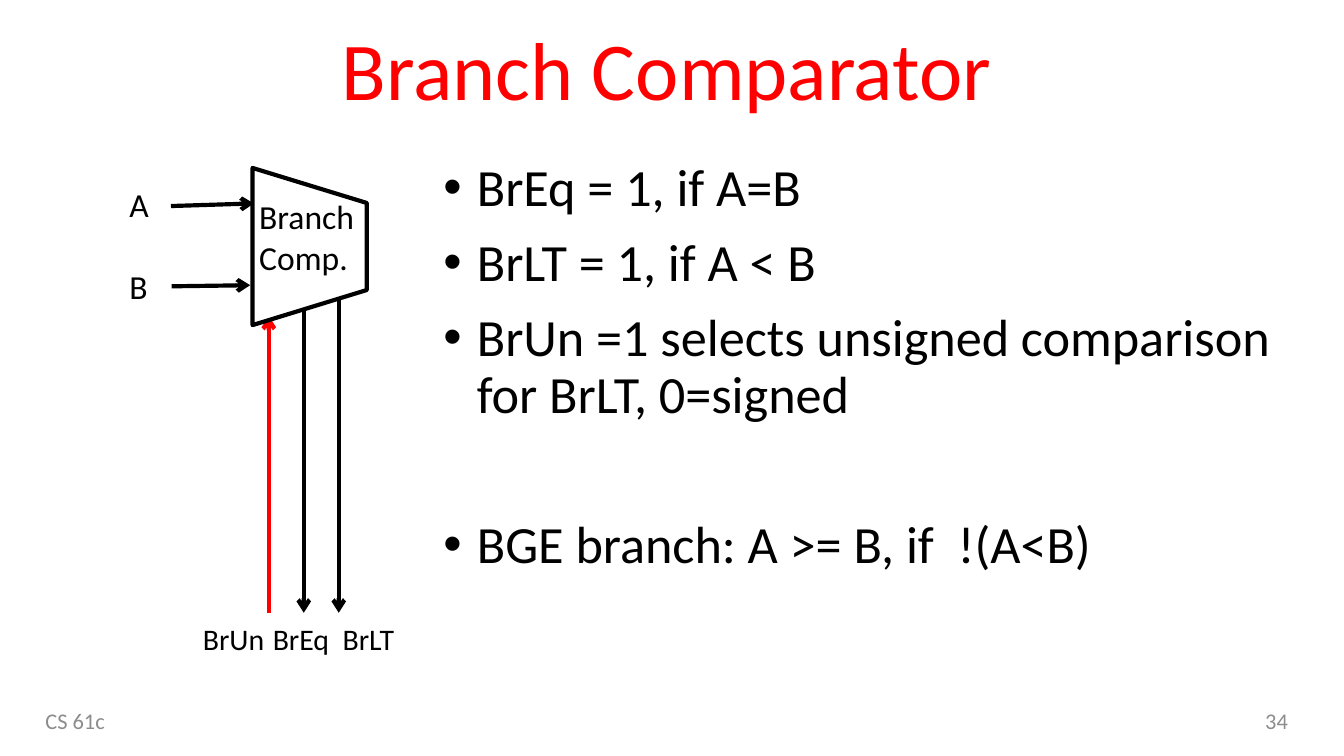
from dataclasses import dataclass

from lxml.etree import SubElement
from pptx import Presentation
from pptx.dml.color import RGBColor
from pptx.enum.shapes import MSO_CONNECTOR as Link, MSO_SHAPE as Form
from pptx.enum.text import MSO_ANCHOR as Anchor, MSO_AUTO_SIZE as Fit, PP_ALIGN as Align
from pptx.oxml.ns import qn
from pptx.oxml.xmlchemy import OxmlElement
from pptx.util import Pt

HUES = {"black": "000000", "red": "FF0000", "gray": "8C8C8C", "white": "FFFFFF"}
FACE = "Calibri"
STROKE = 2.25


@dataclass
class Label:
    text: str
    left: float
    top: float
    width: float
    height: float
    size: float


@dataclass
class Arrow:
    x1: float
    y1: float
    x2: float
    y2: float
    hue: str = "black"


@dataclass
class Point:
    text: str
    gap: float = 10


def color(name: str) -> RGBColor:
    return RGBColor.from_string(HUES[name])


def style(par, size: float, hue: str = "black", align=Align.LEFT) -> None:
    par.alignment = align
    par.font.name = FACE
    par.font.size = Pt(size)
    par.font.color.rgb = color(hue)


def add_label(slide, item: Label, hue: str = "black", align=Align.LEFT,
              anchor=Anchor.TOP, tight: bool = False) -> None:
    box = slide.shapes.add_textbox(
        Pt(item.left), Pt(item.top), Pt(item.width), Pt(item.height))
    frame = box.text_frame
    frame.word_wrap = not tight
    frame.vertical_anchor = anchor
    if tight:
        frame.margin_left = frame.margin_right = 0
        frame.margin_top = frame.margin_bottom = 0
    par = frame.paragraphs[0]
    par.text = item.text
    style(par, item.size, hue, align)


def add_arrow(slide, item: Arrow) -> None:
    wire = slide.shapes.add_connector(
        Link.STRAIGHT, Pt(item.x1), Pt(item.y1), Pt(item.x2), Pt(item.y2))
    wire.line.width = Pt(STROKE)
    wire.line.color.rgb = color(item.hue)
    props = wire.element.spPr
    SubElement(props.find(qn("a:ln")), qn("a:tailEnd"), type="arrow")
    SubElement(props, qn("a:effectLst"))


def add_title(slide, text: str) -> None:
    title = slide.shapes.title
    title.left, title.top, title.width, title.height = Pt(17.3), Pt(8.6), Pt(680), Pt(62)
    frame = title.text_frame
    frame.auto_size = Fit.NONE
    frame.vertical_anchor = Anchor.MIDDLE
    par = frame.paragraphs[0]
    par.text = text
    par.line_spacing = 0.9
    style(par, 44, "red", Align.CENTER)


def add_points(slide, points: list[Point]) -> None:
    box = slide.shapes.add_textbox(Pt(230.4), Pt(82.8), Pt(466.6), Pt(281.5))
    frame = box.text_frame
    frame.word_wrap = True
    for i, item in enumerate(points):
        par = frame.add_paragraph() if i else frame.paragraphs[0]
        par.text = item.text
        par.line_spacing = 0.9
        par.space_before = Pt(item.gap)
        style(par, 28)
        props = par._p.get_or_add_pPr()
        props.set("marL", str(Pt(18)))
        props.set("indent", str(-Pt(18)))
        for tag, key, value in (("a:buFont", "typeface", "Arial"), ("a:buChar", "char", "•")):
            mark = OxmlElement(tag)
            mark.set(key, value)
            props.insert_element_before(mark, "a:defRPr")


def add_block(slide) -> None:
    block = slide.shapes.add_shape(
        Form.TRAPEZOID, Pt(123.8), Pt(101.5), Pt(84.2), Pt(61.2))
    block.rotation = 90
    block.adjustments[0] = 0.307
    block.shadow.inherit = False
    block.fill.solid()
    block.fill.fore_color.rgb = color("white")
    block.line.color.rgb = color("black")
    block.line.width = Pt(STROKE)
    add_label(slide, Label("Branch Comp.", 131.8, 101.5, 93.6, 59, 18))


def add_ports(slide) -> None:
    high, low = 155.5, 328.3
    for i, name in enumerate(("BrUn", "BrEq", "BrLT")):
        x = 144 + 18.75 * i
        if name == "BrUn":
            add_arrow(slide, Arrow(x, low, x, 169.2, "red"))
        else:
            add_arrow(slide, Arrow(x, high, x, low))
        add_label(slide, Label(name, 108.7 + 37.45 * i, 332.6, 37, 22.3, 16), tight=True)


def main() -> None:
    deck = Presentation()
    deck.slide_width, deck.slide_height = Pt(720), Pt(405)
    slide = deck.slides.add_slide(deck.slide_layouts[5])

    add_title(slide, "Branch Comparator")
    add_points(slide, [
        Point("BrEq = 1, if A=B"),
        Point("BrLT = 1, if A < B"),
        Point("BrUn =1 selects unsigned comparison for BrLT, 0=signed"),
        Point("BGE branch: A >= B, if  !(A<B)", 50.5),
    ])
    add_label(slide, Label("CS 61c", 17.3, 375.1, 194.4, 21.6, 12),
              "gray", anchor=Anchor.MIDDLE)
    add_label(slide, Label("34", 535, 375.1, 162, 21.6, 12),
              "gray", Align.RIGHT, Anchor.MIDDLE)

    add_ports(slide)
    add_block(slide)
    for name, top, wire in (
        ("A", 98.6, Arrow(91.6, 110.4, 136, 109)),
        ("B", 142.6, Arrow(92, 153.4, 134, 152.8)),
    ):
        add_arrow(slide, wire)
        add_label(slide, Label(name, 69.3, top, 12, 25.2, 18), tight=True)

    deck.save("out.pptx")


if __name__ == "__main__":
    main()
